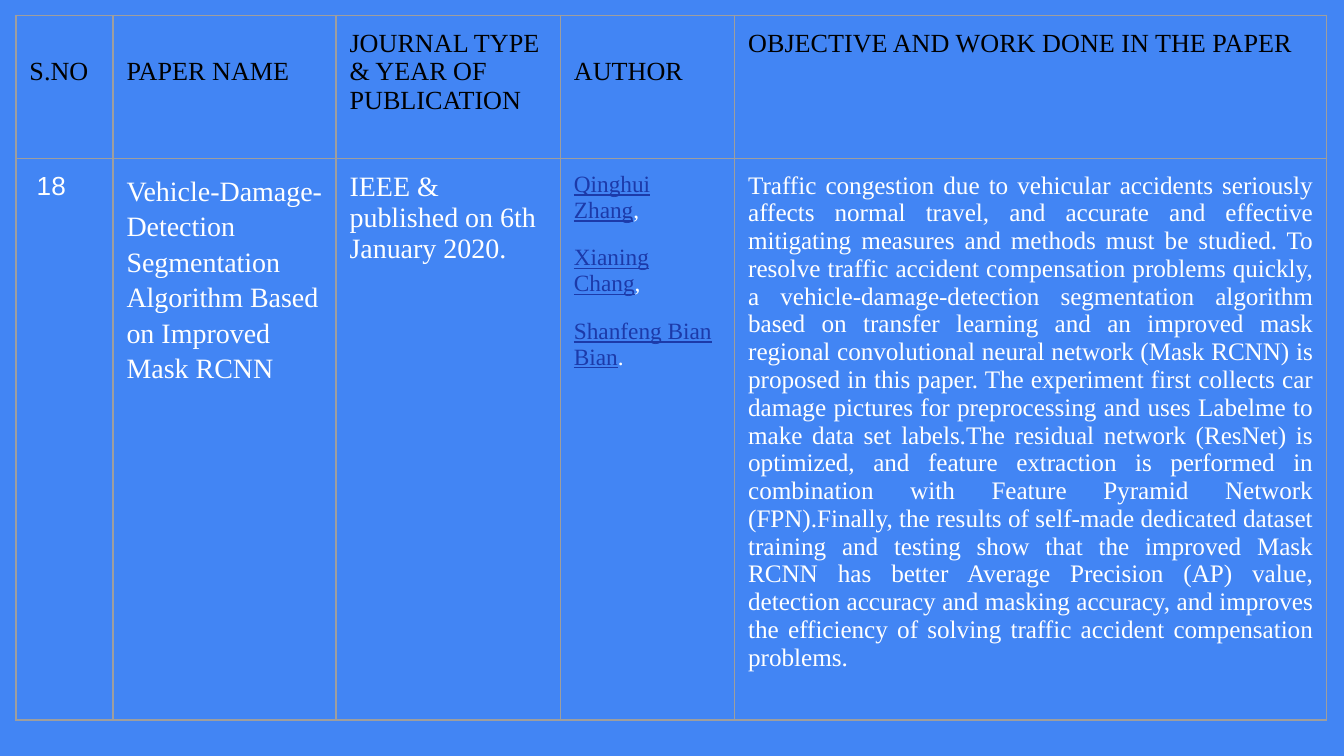
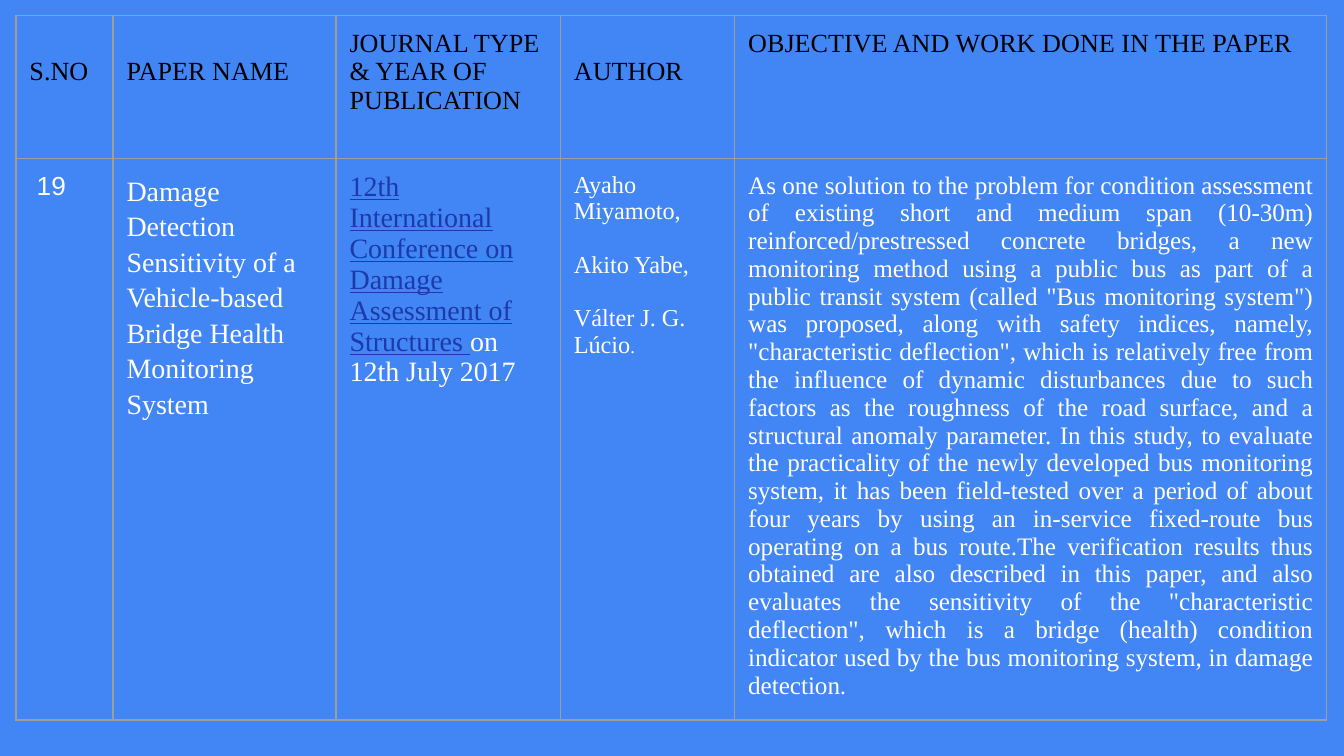
from lxml import etree
from pptx import Presentation
from pptx.dml.color import RGBColor
from pptx.enum.text import PP_ALIGN
from pptx.oxml.ns import qn
from pptx.util import Pt

JUSTIFY = PP_ALIGN.JUSTIFY
BLUE = "4285F4"
BLACK = "000000"
WHITE = "FFFFFF"
LINK = "1C3AA9"
GRID = "9E9E9E"
SERIF = "Times New Roman"
SANS = "Arial"
BLANK_LAYOUT = 6
COLUMN_WIDTHS = [52, 119.5, 120.2, 93.4, 317]
ROW_HEIGHTS = [76.6, 301]
MARGIN = 7.2
HEADER_DROP = 15.5
NUMBER_INDENT = 3.9

HEADERS = [
    ("S.NO", HEADER_DROP),
    ("PAPER NAME", HEADER_DROP),
    ("JOURNAL TYPE & YEAR OF PUBLICATION", 0),
    ("AUTHOR", HEADER_DROP),
    ("OBJECTIVE AND WORK DONE IN THE PAPER", 0),
]

PAPERS = [
    {
        "number": "18",
        "name": "Vehicle-Damage-Detection Segmentation Algorithm Based on Improved Mask RCNN",
        "journal": [
            [("IEEE & published on 6th", {})],
            [("January 2020.", {})],
        ],
        "authors": [
            [("Qinghui Zhang", {"link": True}), (",", {})],
            [("Xianing Chang", {"link": True}), (",", {})],
            [("Shanfeng Bian Bian", {"link": True}), (".", {})],
        ],
        "author_size": 12.5,
        "author_gap": 11.7,
        "objective": [
            "Traffic congestion due to vehicular accidents seriously affects normal travel, "
            "and accurate and effective mitigating measures and methods must be studied.",
            "To resolve traffic accident compensation problems quickly, a "
            "vehicle-damage-detection segmentation algorithm based on transfer learning and "
            "an improved mask regional convolutional neural network (Mask RCNN) is proposed "
            "in this paper.",
            "The experiment first collects car damage pictures for preprocessing and uses "
            "Labelme to make data set labels.The residual network (ResNet) is optimized, and "
            "feature extraction is performed in combination with Feature Pyramid Network "
            "(FPN).Finally, the results of self-made dedicated dataset training and testing "
            "show that the improved Mask RCNN has better Average Precision (AP) value, "
            "detection accuracy and masking accuracy, and improves the efficiency of solving "
            "traffic accident compensation problems.",
        ],
        "objective_end": [],
    },
    {
        "number": "19",
        "name": "Damage Detection Sensitivity of a Vehicle-based Bridge Health Monitoring System",
        "journal": [
            [("12th International Conference on Damage Assessment of Structures ", {"link": True}),
             ("on 12th July 2017", {})],
        ],
        "authors": [
            [("Ayaho Miyamoto,", {})],
            [("Akito Yabe,", {})],
            [("Válter J. G. Lúcio", {}), (".", {"size": 10})],
        ],
        "author_size": 13,
        "author_gap": 14.4,
        "objective": [
            "As one solution to the problem for condition assessment of existing short and "
            "medium span (10-30m) reinforced/prestressed concrete bridges, a new monitoring "
            "method using a public bus as part of a public transit system (called \"Bus "
            "monitoring system\") was proposed, along with safety indices, namely, "
            "\"characteristic deflection\", which is relatively free from the influence of "
            "dynamic disturbances due to such factors as the roughness of the road surface, "
            "and a structural anomaly parameter.",
            "In this study, to evaluate the practicality of the newly developed bus "
            "monitoring system, it has been field-tested over a period of about four years "
            "by using an in-service fixed-route bus operating on a bus route.The "
            "verification results thus obtained are also described in this paper, and also "
            "evaluates the sensitivity of the \"characteristic deflection\", which is a "
            "bridge (health) condition indicator used by the bus monitoring system, in "
            "damage detection",
        ],
        "objective_end": [(".", {"size": 12.5})],
    },
]


def color(value):
    return RGBColor.from_string(value)


def write(paragraph, text, size=14, font=SERIF, fill=WHITE, link=False):
    run = paragraph.add_run()
    run.text = text
    run.font.size = Pt(size)
    run.font.name = font
    run.font.color.rgb = color(LINK if link else fill)
    run.font.underline = link


class Deck:
    def __init__(self):
        self.presentation = Presentation()
        self.presentation.slide_width = Pt(720)
        self.presentation.slide_height = Pt(405)
        background = self.presentation.slide_master.background.fill
        background.solid()
        background.fore_color.rgb = color(BLUE)
        self.slide = None

    def add_slide(self):
        layout = self.presentation.slide_layouts[BLANK_LAYOUT]
        self.slide = self.presentation.slides.add_slide(layout)

    def add_table(self):
        shape = self.slide.shapes.add_table(
            len(ROW_HEIGHTS), len(COLUMN_WIDTHS), Pt(8.6), Pt(8.2),
            Pt(sum(COLUMN_WIDTHS)), Pt(sum(ROW_HEIGHTS)))
        table = shape.table
        table.first_row = False
        table.horz_banding = False
        for column, width in zip(table.columns, COLUMN_WIDTHS):
            column.width = Pt(width)
        for row, height in zip(table.rows, ROW_HEIGHTS):
            row.height = Pt(height)
        for cell in table.iter_cells():
            self.style_cell(cell)
        return table

    def style_cell(self, cell):
        properties = cell._tc.get_or_add_tcPr()
        for side in ("a:lnL", "a:lnR", "a:lnT", "a:lnB"):
            line = etree.SubElement(properties, qn(side), w=str(Pt(0.75)))
            solid = etree.SubElement(line, qn("a:solidFill"))
            etree.SubElement(solid, qn("a:srgbClr"), val=GRID)
        cell.fill.background()

    def fill_cell(self, cell, paragraphs, drop=0, indent=0, gap=0,
                  line_spacing=None, align=None, **style):
        cell.margin_left = Pt(MARGIN + indent)
        cell.margin_top = Pt(MARGIN + drop)
        cell.margin_right = cell.margin_bottom = Pt(MARGIN)
        frame = cell.text_frame
        for index, runs in enumerate(paragraphs):
            paragraph = frame.add_paragraph() if index else frame.paragraphs[0]
            if index and gap:
                paragraph.space_before = Pt(gap)
            paragraph.line_spacing = line_spacing
            paragraph.alignment = align
            for text, changes in runs:
                write(paragraph, text, **{**style, **changes})

    def add_paper(self, paper):
        self.add_slide()
        table = self.add_table()
        for column, (text, drop) in enumerate(HEADERS):
            self.fill_cell(table.cell(0, column), [[(text, {})]], drop=drop, fill=BLACK)
        number, name, journal, authors, objective = [
            table.cell(1, column) for column in range(len(COLUMN_WIDTHS))]
        self.fill_cell(number, [[(paper["number"], {})]], indent=NUMBER_INDENT, font=SANS)
        self.fill_cell(name, [[(paper["name"], {})]], line_spacing=1.15, size=15)
        self.fill_cell(journal, paper["journal"], size=15)
        self.fill_cell(authors, paper["authors"], gap=paper["author_gap"],
                       size=paper["author_size"])
        summary = [(" ".join(paper["objective"]), {})] + paper["objective_end"]
        self.fill_cell(objective, [summary], align=JUSTIFY, size=13.5)


def main():
    deck = Deck()
    for paper in PAPERS:
        deck.add_paper(paper)
    deck.presentation.save("out.pptx")


if __name__ == "__main__":
    main()
